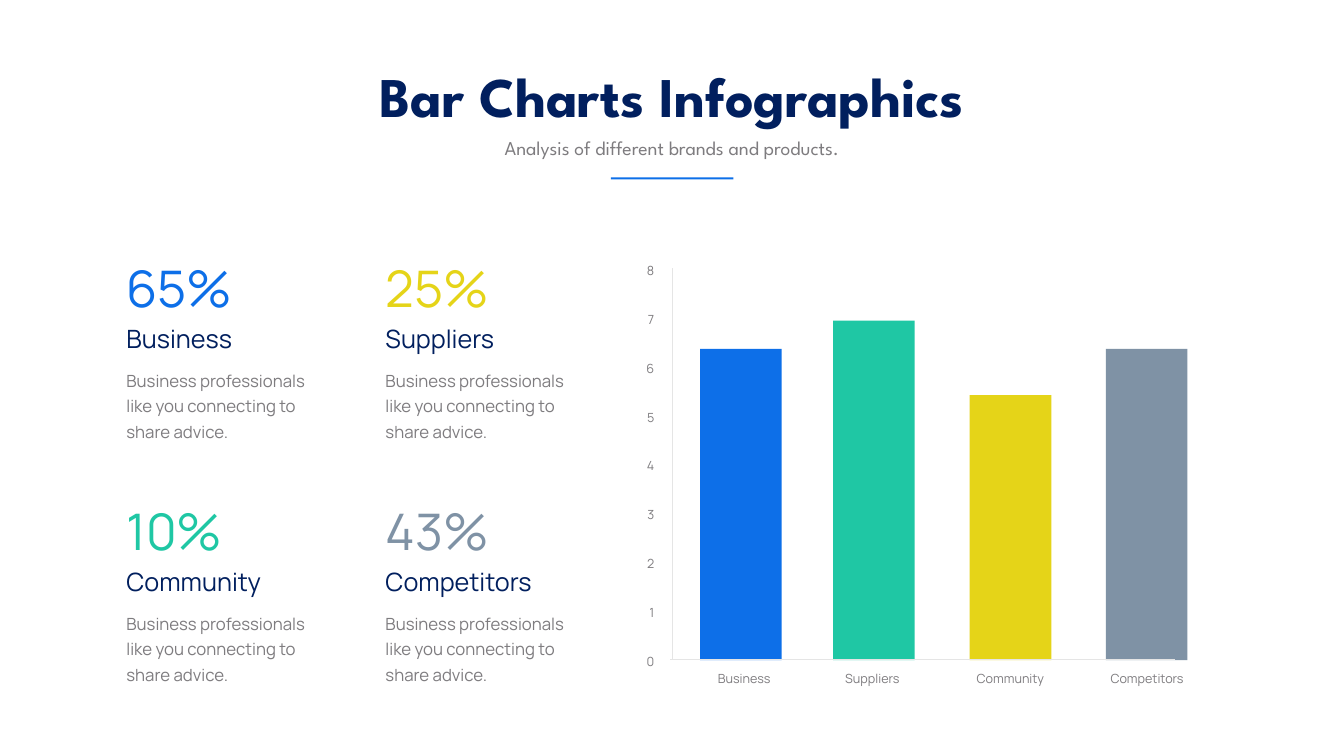
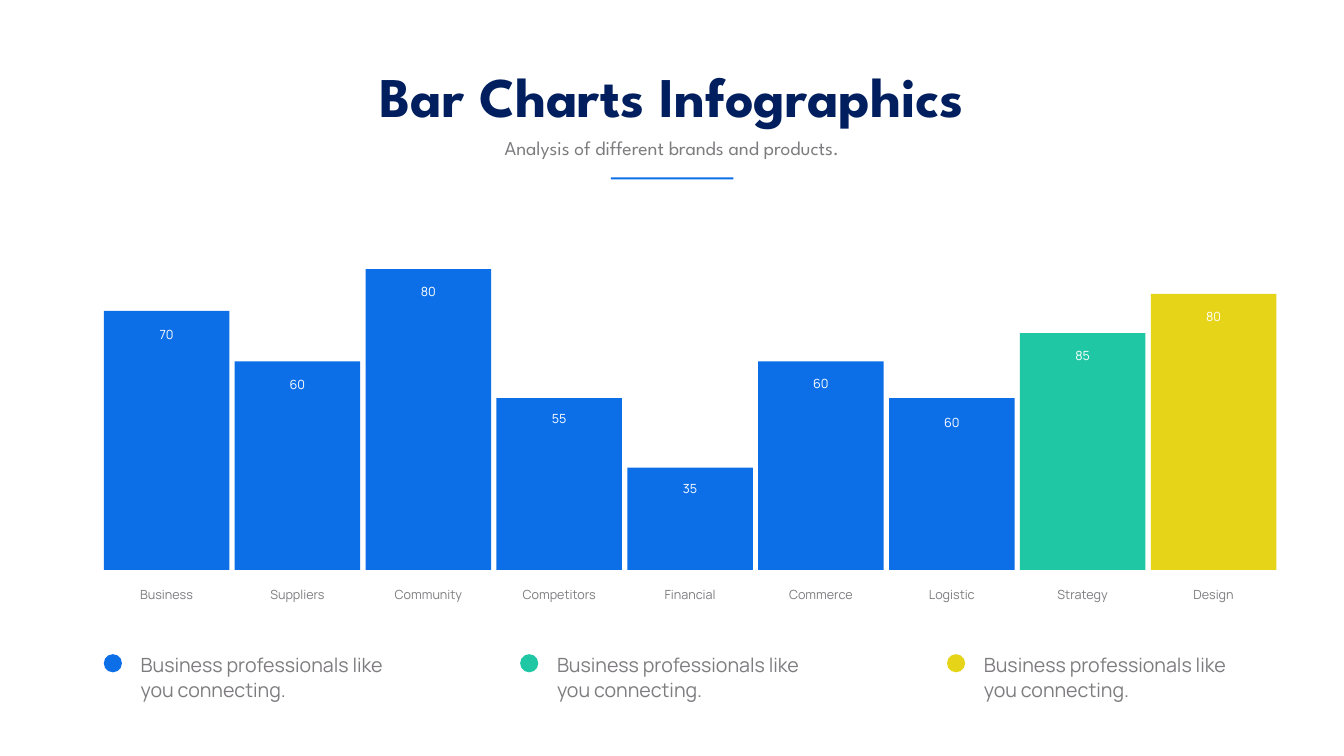
from lxml.etree import SubElement
from pptx import Presentation
from pptx.dml.color import RGBColor
from pptx.enum.shapes import MSO_CONNECTOR, MSO_SHAPE
from pptx.enum.text import MSO_ANCHOR, MSO_AUTO_SIZE, PP_ALIGN
from pptx.oxml.ns import qn
from pptx.util import Emu, Pt

COLS, ROWS, CELL = 80, 45, 304800
BLUE, TEAL, GOLD, SLATE = "0D6FE8", "1FC7A4", "E5D418", "7F92A5"
NAVY, GREY, PALE, WHITE = "011F5E", "7E7C7F", "E5E5E5", "FFFFFF"
LEFT, MID, RIGHT = PP_ALIGN.LEFT, PP_ALIGN.CENTER, PP_ALIGN.RIGHT
BLURB = "Business professionals like you connecting"

STYLES = {
    "title": (dict(name="League Spartan", size=Pt(80), bold=True), NAVY, MID, None),
    "sub": (dict(name="League Spartan", size=Pt(28), bold=False), GREY, MID, None),
    "figure": (dict(name="Manrope", size=Pt(72)), NAVY, LEFT, None),
    "head": (dict(name="Manrope", size=Pt(36)), NAVY, LEFT, None),
    "body": (dict(name="Manrope", size=Pt(24)), GREY, LEFT, Pt(36.6)),
    "legend": (dict(name="Manrope", size=Pt(28)), GREY, LEFT, Pt(35.6)),
    "label": (dict(name="Manrope", size=Pt(18)), GREY, MID, Pt(35.6)),
    "tick": (dict(name="Manrope", size=Pt(18)), GREY, RIGHT, Pt(35.6)),
}


def tint(code):
    return RGBColor.from_string(code)


def grid(*cells):
    return [Emu(round(cell * CELL)) for cell in cells]


def assign(target, values):
    for key, value in values.items():
        setattr(target, key, value)


class Deck:
    def __init__(self):
        self.show = Presentation()
        self.show.slide_width, self.show.slide_height = grid(COLS, ROWS)
        self.slide = None

    def page(self):
        self.slide = self.show.slides.add_slide(self.show.slide_layouts[0])
        title, sub = self.slide.placeholders
        self.place(title, 20.76, 3.51, 38.46, 4.35)
        self.letter(title, "Bar Charts Infographics", "title", wrap=False)
        self.place(sub, 25.65, 7.95, 28.68, 1.71)
        self.letter(sub, "Analysis of different brands and products.", "sub")
        self.block(36.36, 10.56, 7.29, 0.12, BLUE)

    def place(self, shape, *cells):
        assign(shape, dict(zip(("left", "top", "width", "height"), grid(*cells))))

    def letter(self, shape, text, style, color=None, wrap=True):
        font, shade, align, leading = STYLES[style]
        frame = shape.text_frame
        frame.text = text
        assign(frame, dict(word_wrap=wrap, vertical_anchor=MSO_ANCHOR.TOP,
                           auto_size=MSO_AUTO_SIZE.SHAPE_TO_FIT_TEXT))
        para = frame.paragraphs[0]
        assign(para, dict(alignment=align, line_spacing=leading, space_before=Pt(0)))
        run = para.runs[0].font
        assign(run, font)
        run.color.rgb = tint(color or shade)

    def text(self, x, y, w, h, words, style, color=None):
        box = self.slide.shapes.add_textbox(*grid(x, y, w, h))
        self.letter(box, words, style, color)

    def block(self, x, y, w, h, color, kind=MSO_SHAPE.RECTANGLE):
        shape = self.slide.shapes.add_shape(kind, *grid(x, y, w, h))
        shape.shadow.inherit = False
        shape.fill.solid()
        shape.fill.fore_color.rgb = tint(color)
        shape.line.fill.background()

    def label(self, center, y, words, color=GREY):
        self.text(center - 3.24, y, 6.48, 1.68, words, "label", color)

    def line(self, *ends):
        rule = self.slide.shapes.add_connector(MSO_CONNECTOR.STRAIGHT, *grid(*ends))
        rule.line.color.rgb = tint(PALE)
        rule.line.width = Pt(1)
        SubElement(rule._element.spPr, qn("a:effectLst"))

    def stat(self, col, row, figure, name, color):
        x, y = 7.23 + 15.42 * col, 15.15 + 14.46 * row
        self.text(x, y, 7.53, 3.93, figure, "figure", color)
        self.text(x, y + 3.93, 11.97, 2.13, name, "head")
        self.text(x, y + 6.42, 11.97, 4.89, BLURB + " to share advice.", "body")


def market(deck):
    deck.page()
    stats = [("65%", "Business", BLUE), ("25%", "Suppliers", GOLD),
             ("10%", "Community", TEAL), ("43%", "Competitors", SLATE)]
    for i, stat in enumerate(stats):
        deck.stat(i % 2, i // 2, *stat)
    base = 39.3
    bars = [("Business", 41.67, 18.54, 44.3, BLUE),
            ("Suppliers", 49.59, 20.22, 51.93, TEAL),
            ("Community", 57.72, 15.78, 60.14, GOLD),
            ("Competitors", 65.82, 18.54, 68.28, SLATE)]
    for name, x, tall, center, color in bars:
        deck.block(x, base - tall, 4.86, tall, color)
        deck.label(center, 39.21, name)
    deck.line(39.9, 39.27, 69.93, 39.27)
    deck.line(40.02, 39.21, 40.02, 15.96)
    for mark in range(9):
        deck.text(35.88, 38.19 - 2.91 * mark, 3.36, 1.68, str(mark), "tick")


def sectors(deck):
    deck.page()
    left, step, wide, base = 6.18, 7.79, 7.47, 33.93
    bars = [("Business", "70", 15.42, 0.24, BLUE),
            ("Suppliers", "60", 12.42, 0.18, BLUE),
            ("Community", "80", 17.91, 0.15, BLUE),
            ("Competitors", "55", 10.23, 0, BLUE),
            ("Financial", "35", 6.09, 0.03, BLUE),
            ("Commerce", "60", 12.42, 0.15, BLUE),
            ("Logistic", "60", 10.23, 0.27, BLUE),
            ("Strategy", "85", 14.1, 0.15, TEAL),
            ("Design", "80", 16.44, 0.18, GOLD)]
    for i, (name, value, tall, drop, color) in enumerate(bars):
        x, top = left + step * i, base - tall
        deck.block(x, top, wide, tall, color)
        deck.label(x + wide / 2, 34.2, name)
        deck.label(x + wide / 2, top + drop, value, WHITE)
    for x, color in ((left, BLUE), (30.96, TEAL), (56.37, GOLD)):
        deck.block(x, 38.94, 1.08, 1.08, color, MSO_SHAPE.OVAL)
        deck.text(x + 1.9, 38.64, 16.17, 3.3, BLURB + ".", "legend")


def main():
    deck = Deck()
    market(deck)
    sectors(deck)
    deck.show.save("out.pptx")


if __name__ == "__main__":
    main()
